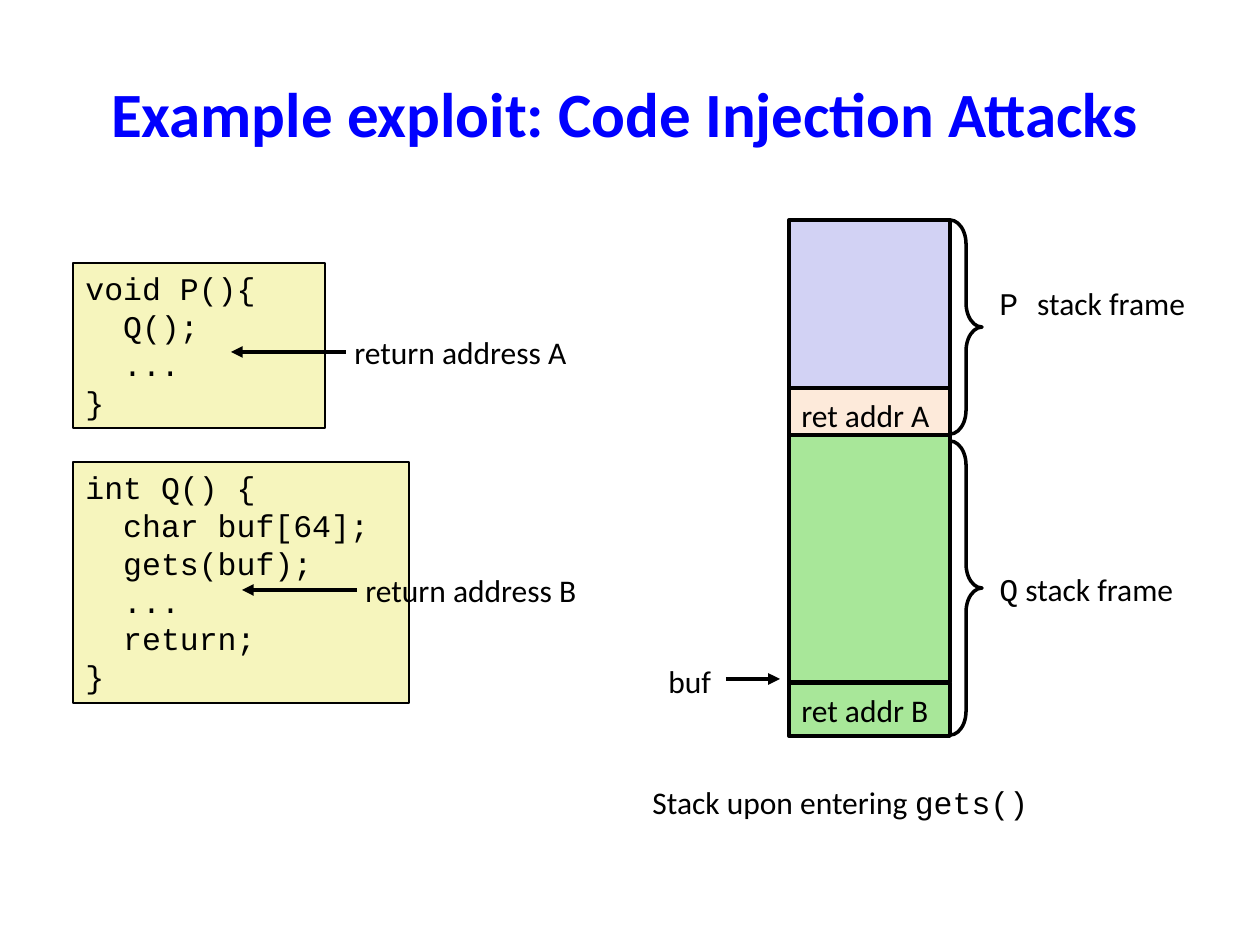
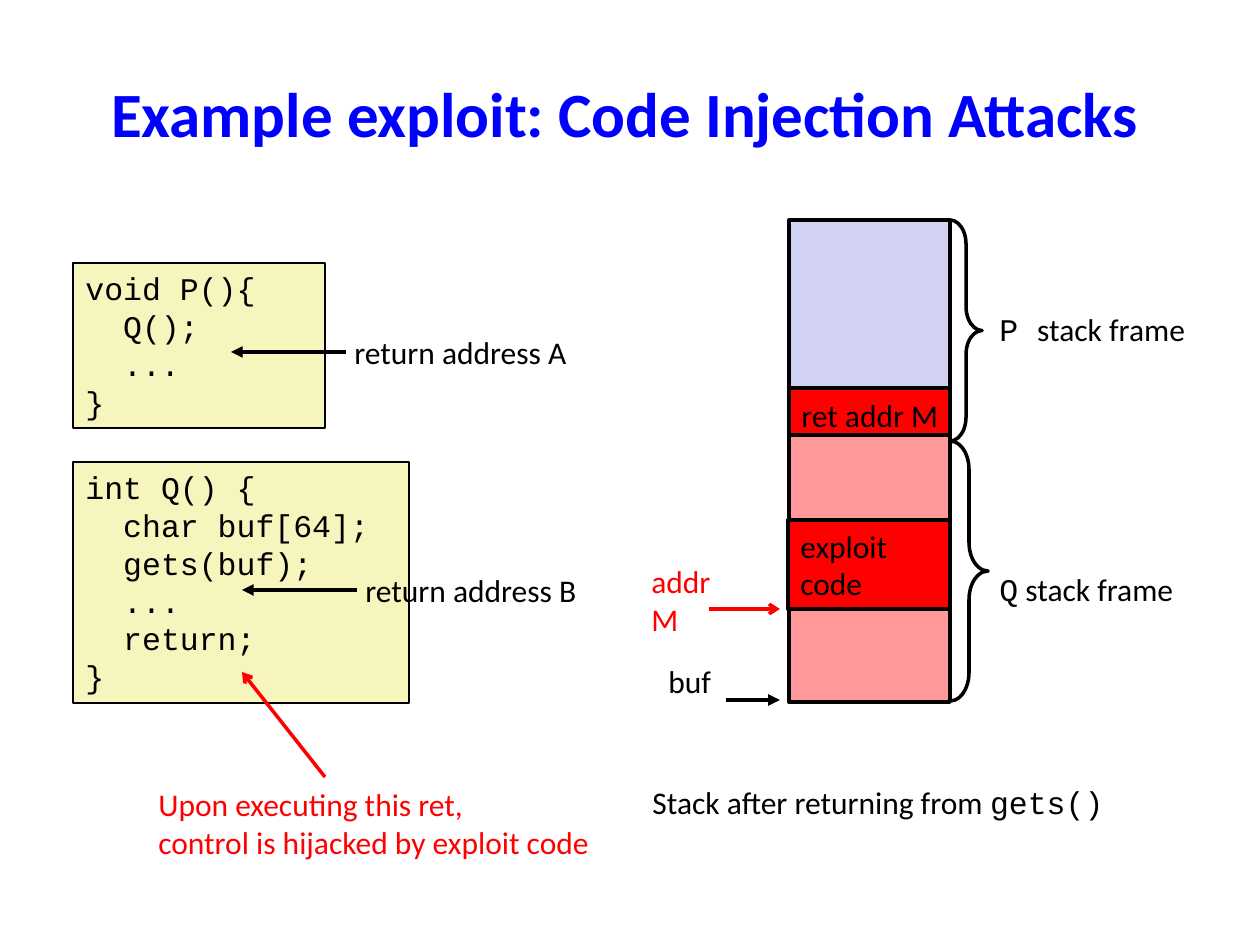
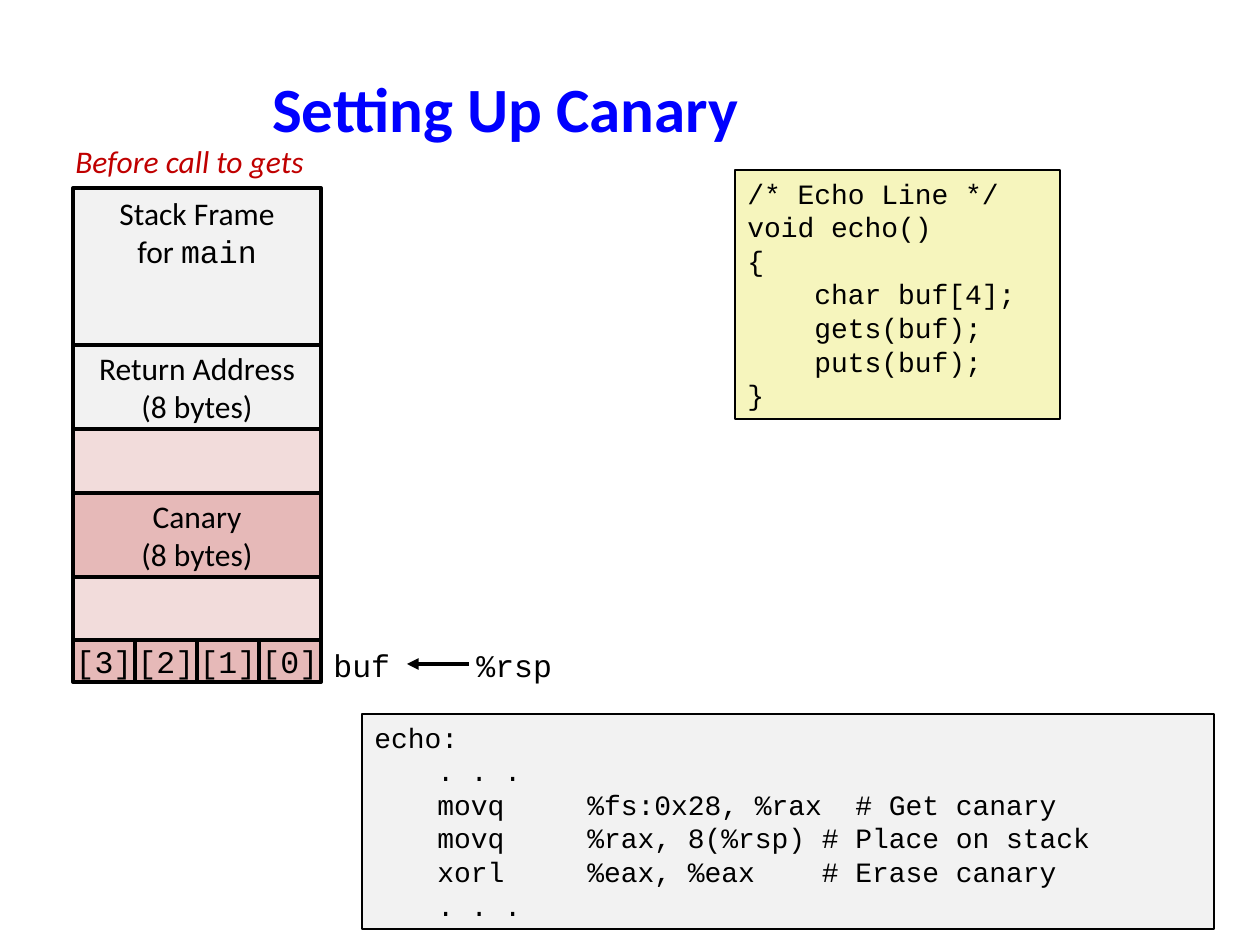
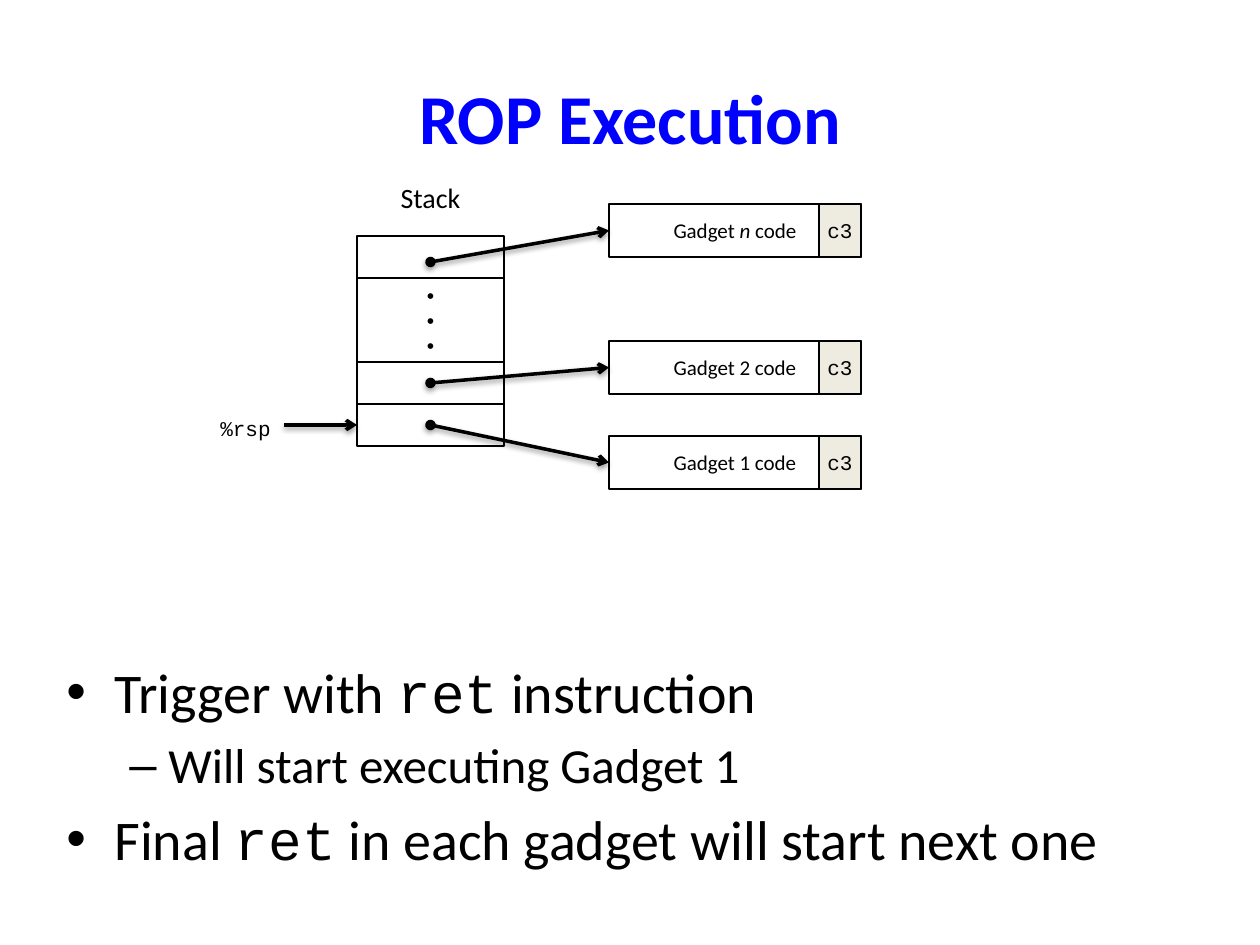
from lxml import etree
from pptx import Presentation
from pptx.dml.color import RGBColor
from pptx.enum.shapes import MSO_CONNECTOR, MSO_SHAPE
from pptx.enum.text import MSO_ANCHOR, PP_ALIGN
from pptx.oxml.ns import qn
from pptx.util import Pt

RECTANGLE, BRACE = MSO_SHAPE.RECTANGLE, MSO_SHAPE.LEFT_BRACE
STRAIGHT = MSO_CONNECTOR.STRAIGHT
TOP, MIDDLE = MSO_ANCHOR.TOP, MSO_ANCHOR.MIDDLE
LEFT, CENTER, RIGHT = PP_ALIGN.LEFT, PP_ALIGN.CENTER, PP_ALIGN.RIGHT

EMU_PER_PX = 914400 / 126
SLIDE_SIZE = (1260, 945)

BLACK, BLUE, RED, DARK_RED = "000000", "0000FF", "FF0000", "C00000"
CODE_YELLOW, LIGHT_GRAY, BEIGE = "F6F5BD", "F2F2F2", "EEECE1"
LAVENDER, PEACH, GREEN, PINK = "D2D2F4", "FDEADA", "A8E799", "FF9999"
ROSE, PALE_ROSE = "E6B9B8", "F2DCDB"
SANS, MONO = "Calibri", "Courier New"
IN_MONO = {"font": MONO}

# Code injection slides
INJECTION_TITLE = "Example exploit: Code Injection Attacks"
CODE_P = ["void P(){", "  Q();", "  ...", "}"]
CODE_Q = ["int Q() {", "  char buf[64];", "  gets(buf);", "  ...", "  return;", "}"]
RETURN_POINTS = [("return address A", 231, 352), ("return address B", 242, 590)]
FRAME_P = [("P ", IN_MONO), "stack frame"]
FRAME_Q = [("Q", IN_MONO), " stack frame"]
STACK_LEFT, STACK_WIDTH = 789, 161

# cells: text, top, height, fill; braces: top, width, height
BEFORE_RETURN = {
    "caption": ["Stack upon entering ", ("gets()", IN_MONO)],
    "caption_width": 533,
    "cells": [("ret addr A", 388, 53, PEACH), ("", 220, 168, LAVENDER),
              ("", 435, 247, GREEN), ("ret addr B", 683, 53, GREEN)],
    "braces": [(220, 32, 214), (441, 32, 294)],
    "frame_p_top": 278,
    "buf_arrow_y": 679,
}
AFTER_RETURN = {
    "caption": ["Stack after returning from ", ("gets()", IN_MONO)],
    "caption_width": 635,
    "cells": [("ret addr M", 388, 53, RED), ("", 220, 168, LAVENDER),
              ("", 435, 267, PINK)],
    "braces": [(220, 32, 221), (441, 38, 260)],
    "frame_p_top": 304,
    "buf_arrow_y": 700,
}

# Canary slide: lines, top, height, fill, anchor
CANARY_CELLS = [
    (["Stack Frame", ["for ", ("main", IN_MONO)]], 188, 157, LIGHT_GRAY, TOP),
    (["Return Address", "(8 bytes)"], 345, 84, LIGHT_GRAY, MIDDLE),
    ([], 429, 211, PALE_ROSE, MIDDLE),
    (["Canary", "(8 bytes)"], 493, 84, ROSE, MIDDLE),
]
BUFFER_BYTES = ["[3]", "[2]", "[1]", "[0]"]
CODE_ECHO = ["/* Echo Line */", "void echo()", "{", "    char buf[4];",
             "    gets(buf);", "    puts(buf);", "}"]
ASSEMBLY = [
    "echo:",
    "\t. . .",
    "\tmovq\t%fs:0x28, %rax  # Get canary",
    "\tmovq\t%rax, 8(%rsp) # Place on stack",
    "\txorl\t%eax, %eax    # Erase canary",
    "\t. . .",
]
ASSEMBLY_TABS = (63, 213)

# ROP slide: top and height of cells; gadget name, gadget top, pointer y
ROP_CELLS = [(404, 42, []), (362, 42, []), (278, 84, ["•"] * 3), (236, 42, [])]
GADGETS = [
    (["Gadget 1 code"], 436, 425),
    (["Gadget 2 code"], 341, 383),
    ([["Gadget ", ("n", {"italic": True}), " code"]], 204, 262),
]
# runs, size, bullet, left margin, hanging indent
ROP_POINTS = [
    (["Trigger with ", ("ret", IN_MONO), " instruction"], 32, "•", 48, 48),
    (["Will start executing Gadget 1"], 28, "–", 102, 39),
    (["Final ", ("ret", IN_MONO), " in each gadget will start next one"], 32, "•", 48, 48),
]


def px(*lengths):
    return [round(length * EMU_PER_PX) for length in lengths]


def rgb(color):
    return RGBColor.from_string(color)


def add_element(parent, tag, **attributes):
    return etree.SubElement(parent, qn(tag), {key: str(value) for key, value in attributes.items()})


def add_run(paragraph, text, font=SANS, size=18, color=BLACK, bold=False, italic=False):
    run = paragraph.add_run()
    run.text = text
    run.font.name, run.font.size = font, Pt(size)
    run.font.bold, run.font.italic = bold, italic
    run.font.color.rgb = rgb(color)


def write(shape, lines, align=LEFT, anchor=TOP, wrap=False, **style):
    """Fill a shape; a line is a string or a list of strings and (text, style) runs."""
    frame = shape.text_frame
    frame.word_wrap, frame.vertical_anchor = wrap, anchor
    for index, line in enumerate(lines):
        paragraph = frame.paragraphs[0] if index == 0 else frame.add_paragraph()
        paragraph.alignment = align
        for run in [line] if isinstance(line, str) else line:
            text, changes = (run, {}) if isinstance(run, str) else run
            add_run(paragraph, text, **{**style, **changes})


def add_label(slide, box, lines, **style):
    label = slide.shapes.add_textbox(*px(*box))
    write(label, lines, **style)
    return label


def add_box(slide, box, lines=(), fill=None, width=2.25, kind=RECTANGLE, **style):
    shape = slide.shapes.add_shape(kind, *px(*box))
    shape.shadow.inherit = False
    if fill:
        shape.fill.solid()
        shape.fill.fore_color.rgb = rgb(fill)
    else:
        shape.fill.background()
    shape.line.color.rgb, shape.line.width = rgb(BLACK), Pt(width)
    write(shape, lines, **style)
    return shape


def add_code(slide, box, lines, fill=CODE_YELLOW, size=18):
    return add_box(slide, box, lines, fill, width=1, font=MONO, size=size, wrap=True)


def add_brace(slide, top, width, height):
    brace = add_box(slide, (STACK_LEFT + STACK_WIDTH, top, width, height), width=2, kind=BRACE)
    brace.rotation = 180
    brace.adjustments[0] = 0.75


def add_arrow(slide, start, end, color=BLACK, width=2.25, tip="triangle", origin=None, shadow=False):
    arrow = slide.shapes.add_connector(STRAIGHT, *px(*start, *end))
    arrow.line.color.rgb, arrow.line.width = rgb(color), Pt(width)
    properties = arrow._element.spPr
    outline = properties.find(qn("a:ln"))
    if origin:
        add_element(outline, "a:headEnd", type=origin)
    add_element(outline, "a:tailEnd", type=tip)
    effects = add_element(properties, "a:effectLst")
    if shadow:
        outer = add_element(effects, "a:outerShdw", blurRad=40000, dist=20000, dir=5400000, rotWithShape=0)
        add_element(add_element(outer, "a:srgbClr", val=BLACK), "a:alpha", val=38000)


def add_slide(presentation, title, box, size=36):
    slide = presentation.slides.add_slide(presentation.slide_layouts[6])
    add_label(slide, box, [title], size=size, color=BLUE, bold=True,
              align=CENTER, anchor=MIDDLE, wrap=True)
    return slide


def add_injection_slide(presentation, state):
    slide = add_slide(presentation, INJECTION_TITLE, (53, 73, 1144, 79))
    add_code(slide, (73, 462, 336, 241), CODE_Q)
    add_code(slide, (73, 263, 252, 165), CODE_P)
    for text, tip_x, y in RETURN_POINTS:
        add_label(slide, (tip_x + 111, y - 25, 284, 50), [text], anchor=MIDDLE)
        add_arrow(slide, (tip_x + 115, y), (tip_x, y))
    add_label(slide, (640, 777, state["caption_width"], 63), [state["caption"]])
    for text, top, height, fill in state["cells"]:
        add_box(slide, (STACK_LEFT, top, STACK_WIDTH, height), [text] if text else [],
                fill, anchor=MIDDLE)
    for brace in state["braces"]:
        add_brace(slide, *brace)
    add_label(slide, (987, state["frame_p_top"], 214, 50), [FRAME_P], anchor=MIDDLE)
    add_label(slide, (987, 564, 203, 50), [FRAME_Q], anchor=MIDDLE)
    add_label(slide, (656, 656, 69, 50), ["buf"], anchor=MIDDLE)
    add_arrow(slide, (726, state["buf_arrow_y"]), (780, state["buf_arrow_y"]))
    return slide


def add_hijack(slide):
    add_box(slide, (788, 520, 162, 89), ["exploit", "code"], RED, anchor=MIDDLE)
    red_arrow = {"color": RED, "width": 2, "tip": "arrow"}
    add_arrow(slide, (709, 609), (780, 609), **red_arrow)
    add_label(slide, (639, 556, 87, 89), ["addr", "M"], color=RED)
    add_arrow(slide, (325, 777), (242, 672), **red_arrow)
    add_label(slide, (146, 779, 464, 89),
              ["Upon executing this ret,", "control is hijacked by exploit code"], color=RED)


def add_canary_slide(presentation):
    slide = add_slide(presentation, "Setting Up Canary", (58, 68, 895, 79))
    assembly = add_code(slide, (362, 714, 852, 215), ASSEMBLY, LIGHT_GRAY, size=16)
    for paragraph in assembly.text_frame.paragraphs:
        tabs = add_element(paragraph._p.get_or_add_pPr(), "a:tabLst")
        for position in px(*ASSEMBLY_TABS):
            add_element(tabs, "a:tab", pos=position, algn="l")
    add_code(slide, (735, 170, 325, 249), CODE_ECHO, size=16)

    left, width, buffer_top = 73, 248, 640
    for lines, top, height, fill, anchor in CANARY_CELLS:
        add_box(slide, (left, top, width, height), lines, fill, align=CENTER, anchor=anchor)
    byte_width = width // len(BUFFER_BYTES)
    for index, text in enumerate(BUFFER_BYTES):
        add_box(slide, (left + index * byte_width, buffer_top, byte_width, 42), [text], ROSE,
                font=MONO, align=CENTER, anchor=MIDDLE)
    add_label(slide, (left + width, buffer_top, 82, 50), ["buf"], font=MONO)
    add_arrow(slide, (469, 664), (407, 664))
    add_label(slide, (464, buffer_top, 102, 50), ["%rsp"], font=MONO)
    add_label(slide, (63, 136, 263, 50), ["Before call to gets"], color=DARK_RED, italic=True)


def add_rop_slide(presentation):
    slide = add_slide(presentation, "ROP Execution", (63, 38, 1134, 157), size=40)
    body = add_label(slide, (54, 651, 1089, 222), [], wrap=True)
    for index, (runs, size, bullet, margin, hang) in enumerate(ROP_POINTS):
        frame = body.text_frame
        paragraph = frame.add_paragraph() if index else frame.paragraphs[0]
        paragraph.space_before = Pt(round(size * 0.2) if index else 0)
        properties = paragraph._p.get_or_add_pPr()
        properties.set("marL", str(px(margin)[0]))
        properties.set("indent", str(px(-hang)[0]))
        add_element(properties, "a:buFont", typeface="Arial")
        add_element(properties, "a:buChar", char=bullet)
        if bullet == "–":
            paragraph.level = 1
        for run in runs:
            text, changes = (run, {}) if isinstance(run, str) else run
            add_run(paragraph, text, size=size, **changes)

    stack_left, stack_width = 357, 147
    centered = {"size": 12, "align": CENTER, "anchor": MIDDLE}
    for top, height, dots in ROP_CELLS:
        add_box(slide, (stack_left, top, stack_width, height), dots, width=1,
                font="Arial", **centered)

    gadget_left, gadget_width, gadget_height, return_width = 609, 252, 53, 42
    for name, top, _ in GADGETS:
        add_box(slide, (gadget_left + gadget_width - return_width, top, return_width, gadget_height),
                ["c3"], BEIGE, width=1, font=MONO, **centered)
        add_box(slide, (gadget_left, top, gadget_width, gadget_height), name, width=1.5, **centered)
    pointer = {"width": 2, "tip": "arrow", "shadow": True}
    for _, top, y in GADGETS:
        add_arrow(slide, (stack_left + stack_width / 2, y),
                  (gadget_left, top + gadget_height / 2), origin="oval", **pointer)
    add_arrow(slide, (284, 425), (stack_left, 425), **pointer)
    add_label(slide, (stack_left, 174, stack_width, 47), ["Stack"], size=16, align=CENTER, wrap=True)
    add_label(slide, (136, 407, 147, 42), ["%rsp"], font=MONO, size=12,
              align=RIGHT, anchor=MIDDLE, wrap=True)


def main():
    presentation = Presentation()
    presentation.slide_width, presentation.slide_height = px(*SLIDE_SIZE)
    add_injection_slide(presentation, BEFORE_RETURN)
    add_hijack(add_injection_slide(presentation, AFTER_RETURN))
    add_canary_slide(presentation)
    add_rop_slide(presentation)
    presentation.save("out.pptx")


if __name__ == "__main__":
    main()
